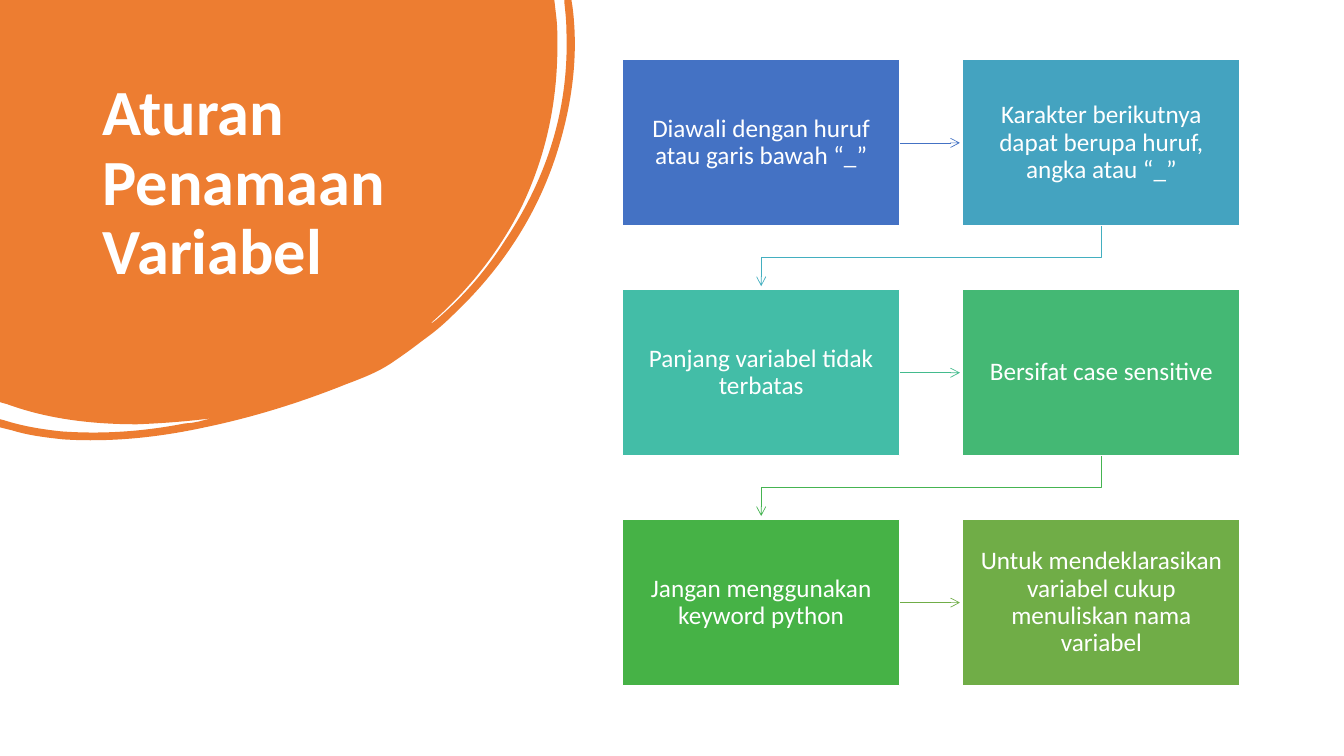
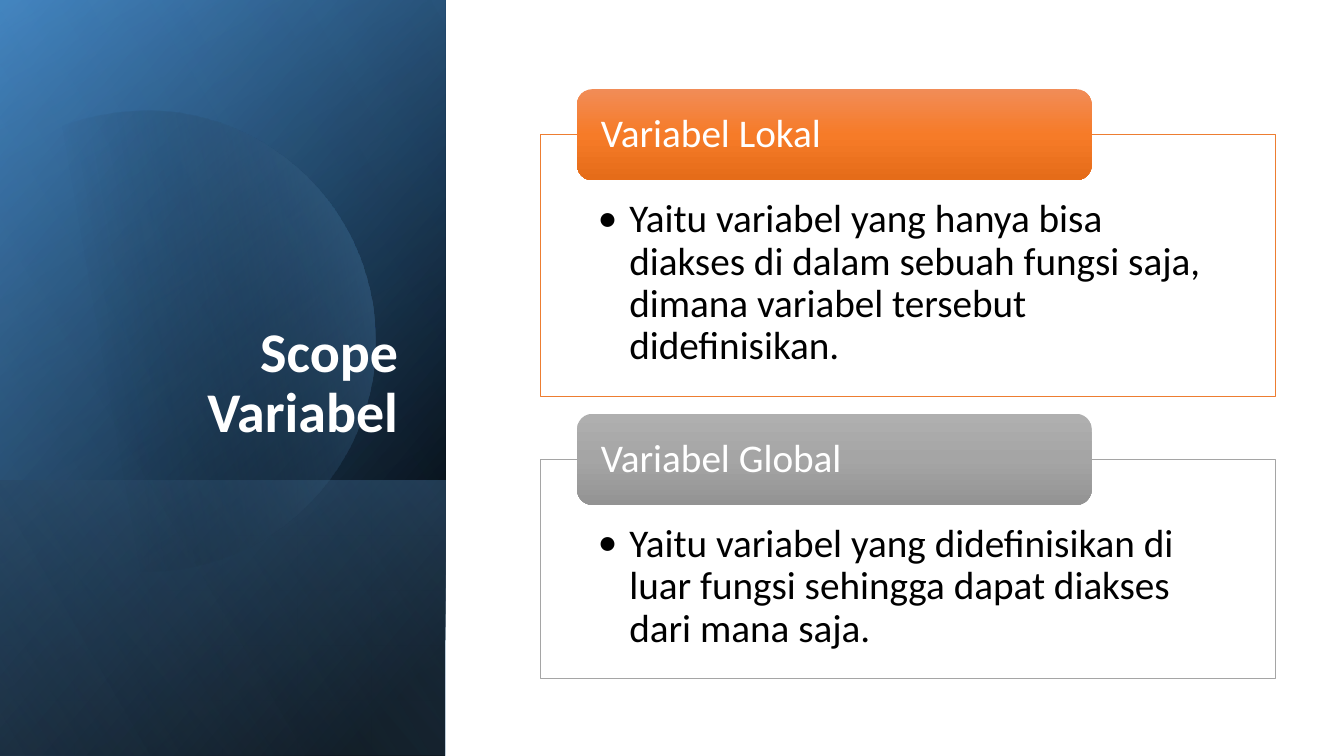
import lxml.etree
import pptx
import pptx.dml.color
import pptx.enum.shapes
import pptx.enum.text
import pptx.oxml.ns
import pptx.util

Pt = pptx.util.Pt
qn = pptx.oxml.ns.qn
color = pptx.dml.color.RGBColor.from_string
SHAPE = pptx.enum.shapes.MSO_SHAPE
ANCHOR = pptx.enum.text.MSO_ANCHOR
ALIGN = pptx.enum.text.PP_ALIGN

FONT = "Calibri"
WHITE, BLACK, ORANGE, GREY, BLUE = "FFFFFF", "000000", "ED7D31", "A5A5A5", "5B9BD5"


def draw_outline(page, start, steps, close=True):
    """Draw straight steps (x, y) and Bezier steps (two controls, then the end)."""
    points = [(Pt(step[i]), Pt(step[i + 1]))
              for step in steps for i in range(0, len(step), 2)]
    builder = page.shapes.build_freeform(Pt(start[0]), Pt(start[1]))
    builder.add_line_segments(points, close=close)
    shape = builder.convert_to_shape()
    # Join the three points of each Bezier step into one curve
    lines = iter(list(shape.element.spPr.iter(qn("a:lnTo"))))
    for step in steps:
        segment = [next(lines) for _ in range(len(step) // 2)]
        if len(segment) == 3:
            curve = lxml.etree.Element(qn("a:cubicBezTo"))
            segment[0].addprevious(curve)
            for line in segment:
                curve.append(line[0])
                line.getparent().remove(line)
    return shape


def paint_gradient(shape, angle, stops):
    """Fill with (position, colour, opacity) stops, the angle running clockwise."""
    shape.shadow.inherit = False
    shape.line.fill.background()
    shape.fill.gradient()
    shape.fill.gradient_angle = 360 - angle
    stop_list = shape.element.spPr.find(qn("a:gradFill")).find(qn("a:gsLst"))
    stop_list.clear()
    for position, value, opacity in stops:
        stop = lxml.etree.SubElement(stop_list, qn("a:gs"), pos=str(position * 1000))
        rgb = lxml.etree.SubElement(stop, qn("a:srgbClr"), val=value)
        if opacity < 100:
            lxml.etree.SubElement(rgb, qn("a:alpha"), val=str(opacity * 1000))


deck = pptx.Presentation()
deck.slide_width, deck.slide_height = Pt(960), Pt(540)
rules_page, scope_page = [deck.slides.add_slide(deck.slide_layouts[5]) for _ in range(2)]

# Orange blob with its thin outer ring
blob = draw_outline(rules_page, (0, 0), [
    (396, 0), (397.4, 12.2),
    (398.2, 18.7, 398.2, 25.9, 398.2, 32.4),
    (398.2, 72.7, 390.2, 110.9, 373, 146.9),
    (357, 179.3, 334.8, 207.4, 307.4, 231.1),
    (308.9, 231.1, 309.6, 229.7, 311, 229),
    (330.5, 212.4, 347, 193.7, 360.7, 172),
    (391, 126.7, 406.8, 77, 404.6, 21.6),
    (404.6, 15.1, 403.9, 8.6, 403.2, 2.2),
    (403.2, 0), (408.2, 0), (409, 5),
    (413.3, 38.9, 409, 73.4, 398.2, 108),
    (383.8, 154, 357.8, 193, 322.6, 226),
    (316, 232.6, 308.9, 238.3, 301.7, 243.4),
    (294.5, 249, 287.3, 254.2, 278.6, 260),
    (270, 265.7, 259.2, 270, 247.7, 274.3),
    (215.3, 287.3, 181.4, 298, 146.2, 305.3),
    (113, 312.5, 79.2, 316, 45.4, 313.9),
    (32.4, 312.5, 20.2, 311, 8.6, 307.4),
    (0, 305.3), (0, 299.5), (2.9, 300.2),
    (16.6, 304.6, 30.2, 306.7, 44, 308.2),
    (74.2, 310.3, 103, 308.2, 132.5, 302.4),
    (136, 302.4, 139, 301.7, 142.6, 301),
    (145.4, 300.2, 148.3, 299.5, 151.2, 298.8),
    (134, 301, 116, 302.4, 98, 303.1),
    (66.2, 303.1, 34.6, 299.5, 5, 288.7),
    (0, 287.3),
])
blob.shadow.inherit = False
blob.fill.solid()
blob.fill.fore_color.rgb = color(ORANGE)
blob.line.fill.background()

# Rule boxes, two to a row, each with the arrow to the next
BOX_LEFT, BOX_TOP, BOX_WIDTH, BOX_HEIGHT = 444.7, 42.7, 198, 118.7
COLUMN_STEP, ROW_STEP = 243, 164.2
rules = [
    ("Diawali dengan huruf atau garis bawah “_”", "4472C4", "4472C4"),
    ("Karakter berikutnya dapat berupa huruf, angka atau “_”", "44A3C0", "43AFC0"),
    ("Panjang variabel tidak terbatas", "43BDA7", "43BB8D"),
    ("Bersifat case sensitive", "44B874", "45B451"),
    ("Jangan menggunakan keyword python", "46B246", "70AD47"),
    ("Untuk mendeklarasikan variabel cukup menuliskan nama variabel", "70AD47", None),
]
for index, (text, fill, arrow_color) in enumerate(rules):
    row, column = divmod(index, 2)
    left, top = BOX_LEFT + column * COLUMN_STEP, BOX_TOP + row * ROW_STEP
    box = rules_page.shapes.add_shape(
        SHAPE.RECTANGLE, Pt(left), Pt(top), Pt(BOX_WIDTH), Pt(BOX_HEIGHT))
    box.shadow.inherit = False
    box.fill.solid()
    box.fill.fore_color.rgb = color(fill)
    box.line.color.rgb = color(WHITE)
    box.line.width = Pt(1)
    frame = box.text_frame
    frame.word_wrap = True
    frame.vertical_anchor = ANCHOR.MIDDLE
    frame.margin_left = frame.margin_right = Pt(9.5)
    frame.margin_top = frame.margin_bottom = Pt(10)
    para = frame.paragraphs[0]
    para.text = text
    para.alignment = ALIGN.CENTER
    para.line_spacing = 0.9
    para.font.name, para.font.size = FONT, Pt(18)
    para.font.color.rgb = color(WHITE)

    if arrow_color is None:
        continue
    if column == 0:
        middle = top + BOX_HEIGHT / 2
        arrow = rules_page.shapes.add_connector(
            pptx.enum.shapes.MSO_CONNECTOR.STRAIGHT,
            Pt(left + BOX_WIDTH), Pt(middle), Pt(left + COLUMN_STEP - 2), Pt(middle))
        arrow.begin_connect(box, 3)
    else:
        bottom, center = top + BOX_HEIGHT, left + BOX_WIDTH / 2
        next_center = center - COLUMN_STEP
        arrow = draw_outline(rules_page, (center, bottom), [
            (center, bottom + 22.6), (next_center, bottom + 22.6),
            (next_center, bottom + 43)], close=False)
        arrow.fill.background()
    arrow.line.color.rgb = color(arrow_color)
    arrow.line.width = Pt(0.5)
    properties = arrow.element.spPr
    lxml.etree.SubElement(properties.find(qn("a:ln")), qn("a:tailEnd"), type="arrow")
    lxml.etree.SubElement(properties, qn("a:effectLst"))

# Blue side panel: layered gradients with a faint disc
PANEL_WIDTH = 318.2
layers = [
    (0, 220, [(8, BLACK, 100), (100, "2E75B6", 100)]),
    (0, 240, [(0, BLACK, 0), (99, BLUE, 46)]),
    (342.9, 140, [(2, BLUE, 29), (100, BLACK, 30)]),
    ("disc", 350, [(29, BLACK, 0), (100, BLUE, 43)]),
    (0, 150, [(0, BLACK, 0), (99, "9DC3E6", 11)]),
]
for top, angle, stops in layers:
    if top == "disc":
        layer = draw_outline(scope_page, (107.3, 79.2), [
            (177, 80.6, 241.2, 127.4, 261.4, 198),
            (286.6, 285.8, 236.2, 376.6, 149, 401.8),
            (94.3, 417.6, 38.2, 404, 0, 371.5),
            (0, 116),
            (16.6, 102.2, 36, 92.2, 57.6, 85.7),
            (74.2, 81.4, 90.7, 79.2, 107.3, 79.2)])
    else:
        layer = scope_page.shapes.add_shape(
            SHAPE.RECTANGLE, 0, Pt(top), Pt(PANEL_WIDTH), Pt(540 - top))
    paint_gradient(layer, angle, stops)

# Scope cards: an outlined definition with a tab on its top edge
cards = [
    ("Variabel Lokal", "Yaitu variabel yang hanya bisa diakses di dalam sebuah fungsi saja, "
     "dimana variabel tersebut didefinisikan.", 96, 187.2, ORANGE,
     ["F18C57", "F67B28", "E56C19"]),
    ("Variabel Global", "Yaitu variabel yang didefinisikan di luar fungsi sehingga dapat "
     "diakses dari mana saja.", 327.9, 156.4, GREY, ["AFAFAF", "A5A5A5", "939393"]),
]
for name, definition, top, height, line_color, shades in cards:
    card = scope_page.shapes.add_shape(
        SHAPE.RECTANGLE, Pt(386), Pt(top), Pt(525), Pt(height))
    card.shadow.inherit = False
    card.fill.solid()
    card.fill.fore_color.rgb = color(WHITE)
    card.line.color.rgb = color(line_color)
    card.line.width = Pt(0.5)
    tab = scope_page.shapes.add_shape(
        SHAPE.ROUNDED_RECTANGLE, Pt(412.2), Pt(top - 32.3), Pt(367.5), Pt(65))
    paint_gradient(tab, 90, [(i * 50, shade, 100) for i, shade in enumerate(shades)])
    for shape, text, text_color, anchor, margins in [
            (card, definition, BLACK, ANCHOR.TOP, (41, 46, 41, 16)),
            (tab, name, WHITE, ANCHOR.MIDDLE, (13.8, 0, 13.8, 0))]:
        frame = shape.text_frame
        frame.word_wrap = True
        frame.vertical_anchor = anchor
        (frame.margin_left, frame.margin_top,
         frame.margin_right, frame.margin_bottom) = map(Pt, margins)
        para = frame.paragraphs[0]
        para.text = text
        para.alignment = ALIGN.LEFT
        para.line_spacing = 0.9
        para.font.name, para.font.size = FONT, Pt(28)
        para.font.color.rgb = color(text_color)
    bullet = card.text_frame.paragraphs[0]._p.get_or_add_pPr()
    bullet.set("marL", str(Pt(22.5)))
    bullet.set("indent", str(-Pt(22.5)))
    lxml.etree.SubElement(bullet, qn("a:buFont"), typeface=FONT)
    lxml.etree.SubElement(bullet, qn("a:buChar"), char="•")
    # The paragraph's default run properties must follow the bullet
    bullet.append(bullet.find(qn("a:defRPr")))

# Titles, in front of the artwork
titles = [
    (rules_page, "Aturan Penamaan Variabel", (66.2, 51.8, 253.4, 159.8), 46,
     ALIGN.LEFT, ANCHOR.MIDDLE),
    (scope_page, "Scope Variabel", (46, 132.8, 245.5, 188.6), 40,
     ALIGN.RIGHT, ANCHOR.BOTTOM),
]
for page, text, place, size, alignment, anchor in titles:
    title = page.shapes.title
    title.left, title.top, title.width, title.height = map(Pt, place)
    frame = title.text_frame
    frame.word_wrap = True
    frame.auto_size = pptx.enum.text.MSO_AUTO_SIZE.NONE
    frame.vertical_anchor = anchor
    para = frame.paragraphs[0]
    para.text = text
    para.alignment = alignment
    para.line_spacing = 0.9
    para.font.name, para.font.size, para.font.bold = FONT, Pt(size), True
    para.font.color.rgb = color(WHITE)
    title.element.getparent().append(title.element)

deck.save("out.pptx")
